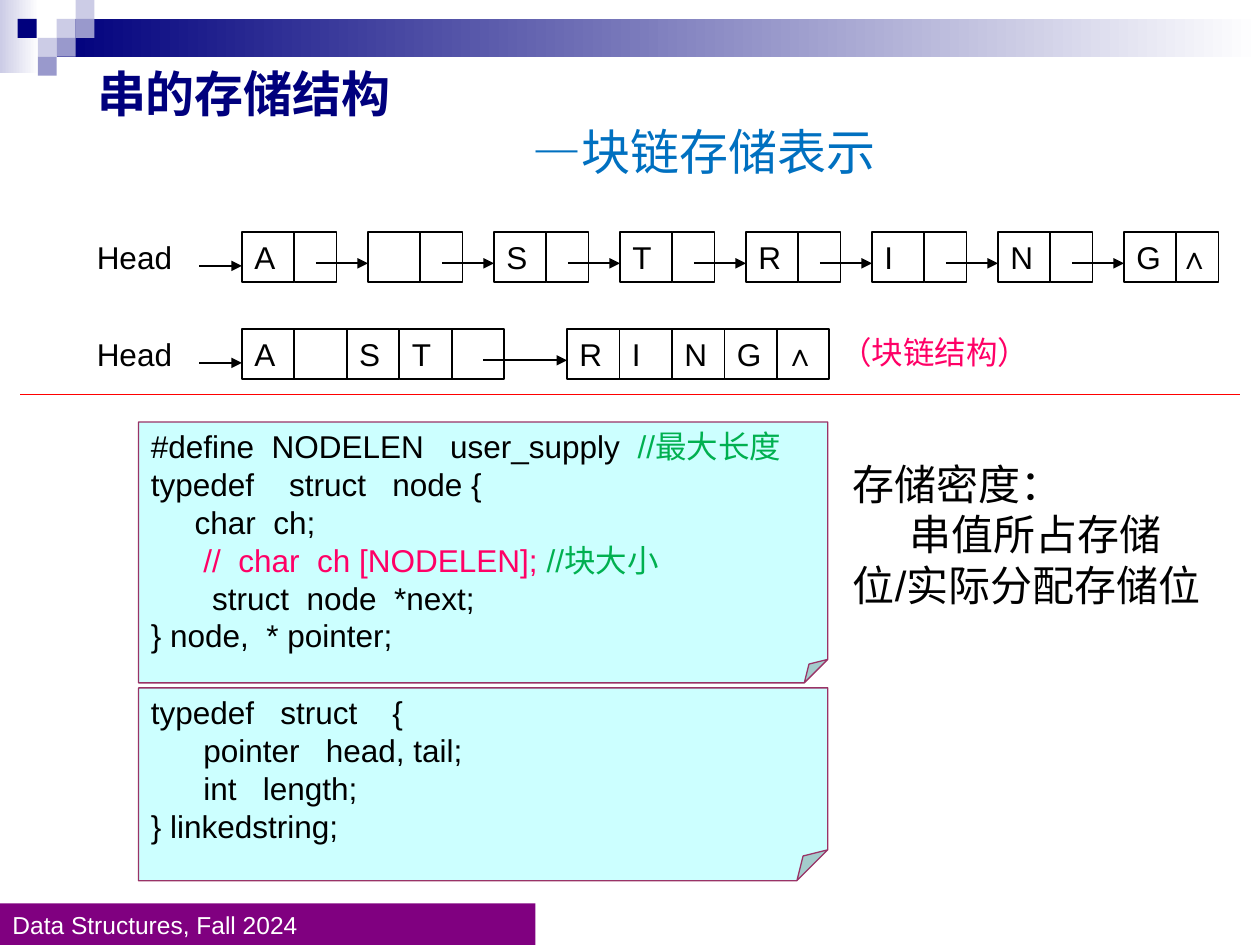
import pptx
import pptx.util
import pptx.dml.color
import pptx.enum.shapes
import pptx.enum.text
import pptx.oxml.ns
from lxml import etree
from pptx.util import Inches

SHAPES = pptx.enum.shapes.MSO_SHAPE
ANCHORS = pptx.enum.text.MSO_ANCHOR
BLACK, NAVY, PINK, GREEN = "000000", "00007D", "FF0066", "00B050"
LILAC, PERIWINKLE = "CCCCE6", "9999CC"
CELL, POINTER, HEIGHT = 5 / 12, 1 / 3, 0.4


def rgb(value):
    return pptx.dml.color.RGBColor.from_string(value)


def add_child(parent, tag, **attributes):
    return etree.SubElement(parent, pptx.oxml.ns.qn(tag), **attributes)


def write(shape, lines, size=18, color=BLACK, bold=False, font="Arial",
          anchor=ANCHORS.TOP, wrap=True, indents=()):
    """Each line is a string or a list of (text, colour) runs."""
    frame = shape.text_frame
    frame.word_wrap = wrap
    frame.auto_size = pptx.enum.text.MSO_AUTO_SIZE.NONE
    frame.vertical_anchor = anchor
    for index, line in enumerate(lines):
        paragraph = frame.paragraphs[0] if index == 0 else frame.add_paragraph()
        paragraph.alignment = pptx.enum.text.PP_ALIGN.LEFT
        if index < len(indents):
            paragraph._p.get_or_add_pPr().set("indent", str(Inches(indents[index])))
        for text, run_color in [(line, color)] if isinstance(line, str) else line:
            run = paragraph.add_run()
            run.text = text
            run.font.size = pptx.util.Pt(size)
            run.font.bold = bold and index == 0
            run.font.name = font
            run.font.color.rgb = rgb(run_color)
            add_child(run._r.get_or_add_rPr(), "a:ea", typeface="Noto Sans CJK SC")


def add_box(slide, left, top, width, height, kind=SHAPES.RECTANGLE,
            fill=None, line=None, line_width=1):
    shape = slide.shapes.add_shape(
        kind, Inches(left), Inches(top), Inches(width), Inches(height))
    shape.shadow.inherit = False
    if isinstance(fill, tuple):
        shape.fill.gradient()
        shape.fill.gradient_angle = 0
        for stop, color, position in zip(shape.fill.gradient_stops, fill, (0, 1)):
            stop.color.rgb = rgb(color)
            stop.position = position
    elif fill:
        shape.fill.solid()
        shape.fill.fore_color.rgb = rgb(fill)
    else:
        shape.fill.background()
    if line:
        shape.line.color.rgb = rgb(line)
        shape.line.width = pptx.util.Pt(line_width)
    else:
        shape.line.fill.background()
    return shape


def add_text(slide, left, top, width, height, lines, **style):
    box = slide.shapes.add_textbox(
        Inches(left), Inches(top), Inches(width), Inches(height))
    write(box, lines, **style)


def add_line(slide, left, right, y, color=BLACK, width=1.25, arrow=True):
    line = slide.shapes.add_connector(
        pptx.enum.shapes.MSO_CONNECTOR.STRAIGHT,
        Inches(left), Inches(y), Inches(right), Inches(y))
    line.line.color.rgb = rgb(color)
    line.line.width = pptx.util.Pt(width)
    if arrow:
        add_child(line.line._get_or_add_ln(), "a:tailEnd", type="triangle")
    add_child(line._element.spPr, "a:effectLst")


def add_banner(slide, left, top):
    add_box(slide, left, top, 0.31, 0.58, fill=(LILAC, "FFFFFF"))
    add_box(slide, left + 0.45, top + 0.15, 9.55, 0.3, fill=(NAVY, "FFFFFF"))
    # Mosaic of small squares
    for x, y, color in [(0.45, 0.15, LILAC), (0.6, 0, LILAC),
                        (0.6, 0.15, PERIWINKLE), (0.3, 0.3, LILAC),
                        (0.14, 0.15, NAVY), (0.45, 0.3, PERIWINKLE),
                        (0.3, 0.45, PERIWINKLE)]:
        add_box(slide, left + x, top + y, 0.15, 0.15, fill=color)


def add_title(slide, left, top, width, height):
    title = slide.shapes.title
    title.left, title.top = Inches(left), Inches(top)
    title.width, title.height = Inches(width), Inches(height)
    write(title, ["串的存储结构", [("—块链存储表示", "0070C0")]],
          size=28, color=NAVY, bold=True, indents=(0.2, 3.66))


def add_chain(slide, left, top, nodes, pitch, pointer_width, link_start, end_shift):
    """Linked nodes, one cell per letter followed by a pointer cell."""
    add_text(slide, left, top, 1, HEIGHT, ["Head"])
    add_line(slide, left + 0.91, left + 1.25, top + 0.27)
    for index, letters in enumerate(nodes):
        node_left = left + 1.25 + index * pitch
        for position, letter in enumerate(letters):
            cell = add_box(slide, node_left + position * CELL, top,
                           CELL, HEIGHT, line=BLACK)
            if letter.strip():
                write(cell, [letter])
        pointer_left = node_left + len(letters) * CELL
        add_box(slide, pointer_left, top, pointer_width, HEIGHT, line=BLACK)
        if index < len(nodes) - 1:
            add_line(slide, pointer_left + link_start, node_left + pitch, top + 0.25)
        else:
            add_text(slide, pointer_left - end_shift, top, 0.5, HEIGHT, ["∧"])


def add_code(slide, left, top, width, height, fold, lines):
    note = add_box(slide, left, top, width, height, kind=SHAPES.FOLDED_CORNER,
                   fill="CCFFFF", line="993366", line_width=0.75)
    # Size of the folded corner, as a share of the height
    guides = note._element.spPr.find(".//" + pptx.oxml.ns.qn("a:avLst"))
    add_child(guides, "a:gd", name="adj", fmla=f"val {round(fold * 100000)}")
    write(note, lines, anchor=ANCHORS.MIDDLE)


def add_footer(slide, left, top, width, height):
    footer = add_box(slide, left, top, width, height, fill="800080")
    write(footer, ["Data Structures, Fall 2024"], size=14, color="FFFFFF")


def main():
    presentation = pptx.Presentation()
    presentation.slide_width, presentation.slide_height = Inches(10), Inches(7.5)
    slide = presentation.slides.add_slide(presentation.slide_layouts[5])

    add_banner(slide, 0, 0)
    add_title(slide, 0.47, 0.45, 8.17, 1.04)
    add_footer(slide, 0, 7.17, 4.25, 0.34)

    # One letter per node, then four letters per node
    add_chain(slide, 0.67, 1.84, "A STRING", 1, POINTER, 0.17, 0.08)
    add_chain(slide, 0.67, 2.61, ["A ST", "RING"], 2.58, CELL, 0.25, 0.04)
    add_text(slide, 6.57, 2.59, 3.19, HEIGHT, ["（块链结构）"], color=PINK)
    add_line(slide, 0.16, 9.84, 3.13, color="FF0000", width=0.75, arrow=False)

    # Type definitions
    add_code(slide, 1.1, 3.35, 5.47, 2.07, 0.09, [
        [("#define  NODELEN   user_supply  ", BLACK), ("//最大长度", GREEN)],
        "typedef    struct   node {",
        "     char  ch;",
        [("      ", BLACK), ("//  char  ch [NODELEN]; ", PINK), ("//块大小", GREEN)],
        "       struct  node  *next;",
        "} node,  * pointer;"])
    add_code(slide, 1.1, 5.46, 5.47, 1.53, 0.16, [
        "typedef   struct    {",
        "      pointer   head, tail;",
        "      int   length;",
        "} linkedstring;"])

    # Storage density
    add_text(slide, 6.67, 3.59, 3.18, 1.3,
             ["存储密度：", "串值所占存储位/实际分配存储位"],
             size=24, indents=(0, 0.45))

    presentation.save("out.pptx")


if __name__ == "__main__":
    main()
